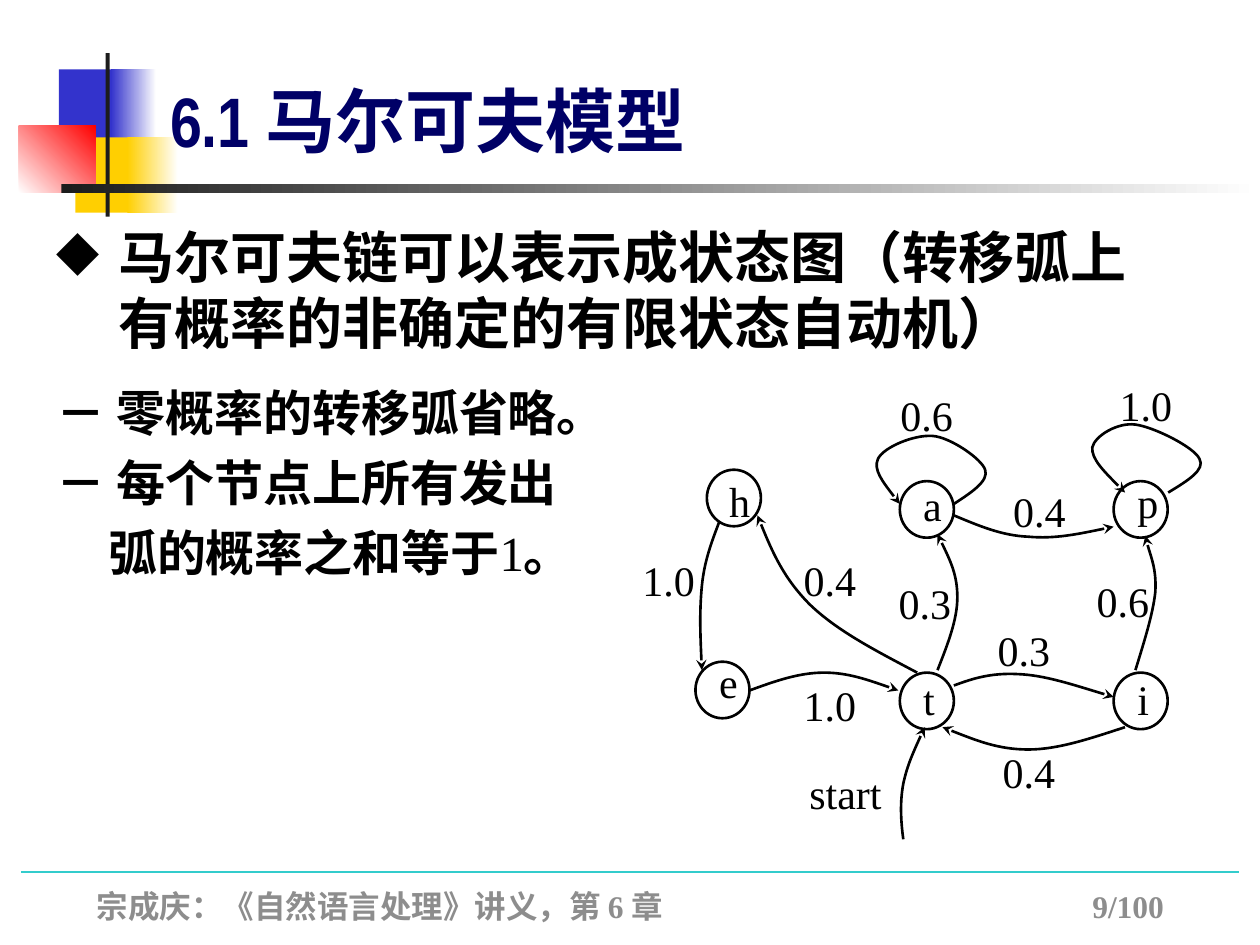
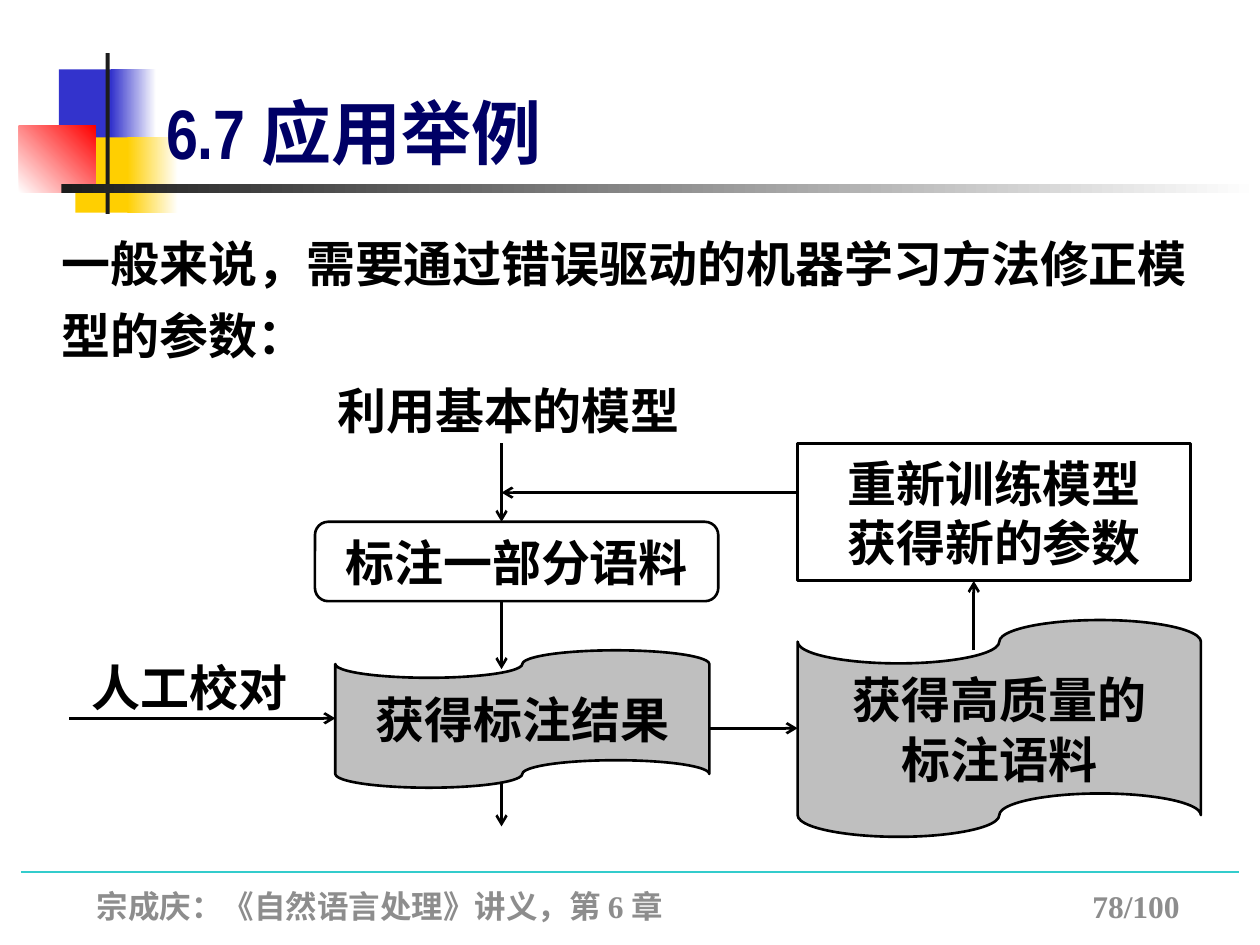
import pptx
import pptx.util
import pptx.dml.color
import pptx.enum.shapes
import pptx.enum.text
import pptx.oxml
import pptx.oxml.ns
import lxml.etree

Cm = pptx.util.Cm
Pt = pptx.util.Pt
qn = pptx.oxml.ns.qn
rgb = pptx.dml.color.RGBColor.from_string
MSO = pptx.enum.shapes.MSO_SHAPE
ALIGN = pptx.enum.text.PP_ALIGN
ANCHOR = pptx.enum.text.MSO_ANCHOR

SANS, SERIF, NARROW = "Noto Sans CJK SC", "Times New Roman", "Arial Narrow"
BLACK, WHITE, NAVY, GREY = "000000", "FFFFFF", "000066", "8D8D8D"
BLUE, YELLOW, RED, DARK, TEAL, TAPE = "3333CC", "FFCF01", "FF0000", "1C1C1C", "33CCCC", "BFBFBF"


def add_shape(s, kind, box, fill=None, line=None):
    sp = s.shapes.add_shape(kind, *[Cm(v) for v in box])
    sp.shadow.inherit = False
    if fill:
        sp.fill.solid()
        sp.fill.fore_color.rgb = rgb(fill)
    else:
        sp.fill.background()
    if line:
        sp.line.color.rgb = rgb(line)
        sp.line.width = Pt(1.5)
    else:
        sp.line.fill.background()
    return sp


def write(s, target, paras, size, color=BLACK, align=ALIGN.LEFT, anchor=ANCHOR.TOP, wrap=True):
    sp = s.shapes.add_textbox(*[Cm(v) for v in target]) if isinstance(target, tuple) else target
    tf = sp.text_frame
    tf.word_wrap = wrap
    tf.vertical_anchor = anchor
    for i, runs in enumerate(paras):
        p = tf.paragraphs[0] if i == 0 else tf.add_paragraph()
        p.alignment = align
        p.line_spacing = Pt(round(size * 1.2))
        for text, font, bold in runs:
            r = p.add_run()
            r.text = text
            r.font.size = Pt(size)
            r.font.bold = bold
            r.font.color.rgb = rgb(color)
            r.font.name = font
            lxml.etree.SubElement(r._r.get_or_add_rPr(), qn("a:ea")).set("typeface", SANS)
    return tf


prs = pptx.Presentation()
prs.slide_width, prs.slide_height = Cm(25.4), Cm(19.05)

decor = [
    ((1.19, 1.4, 1.22, 1.52), BLUE, None, 0),
    ((2.24, 1.4, 0.91, 1.52), BLUE, WHITE, 0),
    ((1.52, 2.77, 1.17, 1.52), YELLOW, None, 0),
    ((2.57, 2.77, 1.02, 1.52), YELLOW, WHITE, 0),
    ((0.38, 2.54, 1.55, 1.35), WHITE, RED, 45),
    ((2.13, 1.07, 0.08, 3.38), DARK, None, 0),
    ((1.24, 3.71, 24.16, 0.18), DARK, WHITE, 0),
]
titles = [
    ("6.1 ", "马尔可夫模型", (3.18, 1.27, 13.92, 2.11), "9/100"),
    ("6.7 ", "应用举例", (3.1, 1.52, 14.94, 2.11), "78/100"),
]
lines = []
for number, name, box, page in titles:
    s = prs.slides.add_slide(prs.slide_layouts[6])
    c = s.shapes.add_connector(1, Cm(0.43), Cm(17.58), Cm(24.97), Cm(17.58))
    lines.append((c, TEAL, 0.75, None))
    for place, start, end, angle in decor:
        sp = add_shape(s, MSO.RECTANGLE, place, start)
        if end:
            sp.fill.gradient()
            sp.fill.gradient_angle = angle
            for stop, color in zip(sp.fill.gradient_stops, (start, end)):
                stop.color.rgb = rgb(color)
    footer = "宗成庆：《自然语言处理》讲义，第 6 章\t" + page
    tf = write(s, (1.7, 17.75, 23.27, 1.02), [[(footer, SERIF, True)]], 18, GREY)
    tabs = lxml.etree.SubElement(tf.paragraphs[0]._p.get_or_add_pPr(), qn("a:tabLst"))
    tab = lxml.etree.SubElement(tabs, qn("a:tab"))
    tab.set("pos", str(Cm(20.07)))
    tab.set("algn", "l")
    write(s, box, [[(number, NARROW, True), (name, SANS, True)]], 40, NAVY, anchor=ANCHOR.BOTTOM)

s = prs.slides[0]
sp = add_shape(s, MSO.RECTANGLE, (0.89, 4.37, 22.81, 7.67), WHITE)
tf = write(s, sp, [
    [("马尔可夫链可以表示成状态图（转移弧上有概率的非确定的有限状态自动机）", SANS, True)],
    [("－ 零概率的转移弧省略。", SERIF, True)],
    [("－ 每个节点上所有发出", SERIF, True)],
    [("弧的概率之和等于", SERIF, True), ("1", SERIF, False), ("。", SERIF, True)],
], 28)
p = tf.paragraphs[0]
p.line_spacing = Pt(38)
p.runs[0].font.size = Pt(32)
pPr = p._p.get_or_add_pPr()
pPr.set("marL", str(Cm(1.24)))
pPr.set("indent", str(Cm(-1.24)))
lxml.etree.SubElement(pPr, qn("a:buChar")).set("char", "◆")
for p, gap in zip(tf.paragraphs[1:], (15, 6, 6)):
    p.space_before = Pt(gap)
tf.paragraphs[3]._p.get_or_add_pPr().set("marL", str(Cm(1.04)))

nodes = [
    ("h", 14.25, 9.47, 14.45, 9.45),
    ("e", 14.02, 13.34, 14.25, 13.11),
    ("i", 22.45, 13.56, 22.68, 13.44),
    ("t", 18.14, 13.56, 18.36, 13.44),
    ("a", 18.14, 9.7, 18.36, 9.53),
    ("p", 22.45, 9.7, 22.68, 9.47),
]
for state, x, y, text_x, text_y in nodes:
    add_shape(s, MSO.OVAL, (x, y, 1.09, 1.14), None, BLACK)
    write(s, (text_x, text_y, 0.66, 1.27), [[(state, SERIF, False)]], 24, align=ALIGN.CENTER)

arcs = [
    ("0.6", (21.77, 11.48, 1.73),
     [(22.89, 13.51), (23.06, 12.95), (23.24, 12.4), (23.29, 11.94),
      (23.32, 11.48), (23.11, 10.97), (23.09, 10.8)]),
    ("1.0", (12.5, 11.05, 1.96),
     [(14.5, 10.52), (14.35, 10.92), (14.2, 11.3), (14.15, 11.81),
      (14.1, 12.32), (14.12, 12.9), (14.15, 13.51)]),
    ("1.0", (15.75, 13.56, 1.96),
     [(15.11, 13.92), (15.6, 13.74), (16.1, 13.56), (16.61, 13.56),
      (17.09, 13.56), (17.6, 13.74), (18.11, 13.92)]),
    ("0.4", (15.75, 11.05, 1.96),
     [(18.49, 13.56), (17.68, 13.13), (16.89, 12.73), (16.33, 12.19),
      (15.8, 11.66), (15.52, 11.02), (15.27, 10.39)]),
    ("0.3", (17.78, 11.51, 1.73),
     [(18.9, 13.51), (19.1, 13), (19.3, 12.5), (19.3, 12.04),
      (19.3, 11.58), (19.1, 11.18), (18.9, 10.77)]),
    ("0.6", (17.7, 7.72, 1.96),
     [(19.23, 10.16), (19.58, 9.93), (19.94, 9.7), (19.86, 9.47),
      (19.79, 9.25), (19.15, 8.81), (18.8, 8.79),
      (18.42, 8.76), (17.81, 9.02), (17.7, 9.25),
      (17.6, 9.47), (17.86, 9.8), (18.14, 10.16)]),
    ("0.4", (20.09, 9.65, 1.73),
     [(19.23, 10.39), (19.71, 10.59), (20.19, 10.8), (20.73, 10.82),
      (21.26, 10.87), (21.87, 10.74), (22.45, 10.62)]),
    ("1.0", (22.02, 7.52, 2.16),
     [(23.55, 9.93), (23.93, 9.7), (24.31, 9.47), (24.18, 9.25),
      (24.08, 9.02), (23.27, 8.61), (22.89, 8.56),
      (22.53, 8.51), (22.07, 8.79), (22.02, 9.02),
      (22, 9.25), (22.33, 9.58), (22.68, 9.93)]),
    ("0.3", (19.66, 12.45, 1.96),
     [(19.23, 13.82), (19.58, 13.69), (19.96, 13.56), (20.52, 13.59),
      (21.06, 13.61), (21.74, 13.84), (22.45, 14.05)]),
    ("0.4", (19.66, 14.91, 2.16),
     [(22.68, 14.66), (22, 14.88), (21.34, 15.11), (20.73, 15.11),
      (20.12, 15.11), (19.56, 14.88), (19, 14.66)]),
    ("start", (15.75, 15.34, 2.59),
     [(18.21, 16.92), (18.16, 16.54), (18.14, 16.18), (18.21, 15.8),
      (18.29, 15.42), (18.47, 15.04), (18.64, 14.66)]),
]
for label, place, points in arcs:
    pts = [(Cm(x), Cm(y)) for x, y in points]
    fb = s.shapes.build_freeform(*pts[0])
    fb.add_line_segments(pts[1:], close=False)
    sp = fb.convert_to_shape()
    sp.fill.background()
    geom = sp._element.find(".//" + qn("a:path"))
    segments = geom.findall(qn("a:lnTo"))
    for i in range(0, len(segments), 3):
        curve = lxml.etree.SubElement(geom, qn("a:cubicBezTo"))
        for segment in segments[i:i + 3]:
            curve.append(segment[0])
            geom.remove(segment)
    lines.append((sp, BLACK, 1.5, "stealth"))
    write(s, (*place, 1.27), [[(label, SERIF, False)]], 24, align=ALIGN.CENTER)

s = prs.slides[1]
sp = add_shape(s, MSO.RECTANGLE, (0.99, 4.32, 23.62, 3.12), WHITE)
intro = "一般来说，需要通过错误驱动的机器学习方法修正模型的参数："
tf = write(s, sp, [[(intro, SERIF, True)]], 28)
tf.paragraphs[0].line_spacing = Pt(41)

for label, box in [("利用基本的模型", (6.55, 7.54, 8.33, 1.45)), ("人工校对", (1.6, 13.11, 5.16, 1.45))]:
    write(s, box, [[(label, SANS, True)]], 28)

steps = [
    (MSO.ROUNDED_RECTANGLE, (6.35, 10.52, 8.13, 1.6), None, ["标注一部分语料"]),
    (MSO.FLOWCHART_PUNCHED_TAPE, (6.76, 13.11, 7.54, 2.77), TAPE, ["获得标注结果"]),
    (MSO.FLOWCHART_PUNCHED_TAPE, (16.08, 12.5, 8.13, 4.37), TAPE, ["获得高质量的", "标注语料"]),
    (MSO.RECTANGLE, (16.08, 8.94, 7.92, 2.77), None, ["重新训练模型", "获得新的参数"]),
]
for kind, box, fill, texts in steps:
    sp = add_shape(s, kind, box, fill, BLACK)
    write(s, sp, [[(text, SANS, True)] for text in texts], 28,
          align=ALIGN.CENTER, anchor=ANCHOR.MIDDLE, wrap=False)

flows = [
    (10.11, 8.94, 10.11, 10.52),
    (10.11, 12.12, 10.11, 13.49),
    (10.11, 15.77, 10.11, 16.66),
    (1.4, 14.48, 6.76, 14.48),
    (14.3, 14.68, 16.08, 14.68),
    (19.63, 13.11, 19.63, 11.71),
    (16.08, 9.93, 10.11, 9.93),
]
for ends in flows:
    c = s.shapes.add_connector(1, *[Cm(v) for v in ends])
    lines.append((c, BLACK, 1.5, "arrow"))

for sp, color, width, head in lines:
    sp.line.color.rgb = rgb(color)
    sp.line.width = Pt(width)
    spPr = sp._element.spPr
    if head:
        lxml.etree.SubElement(spPr.find(qn("a:ln")), qn("a:tailEnd")).set("type", head)
    lxml.etree.SubElement(spPr, qn("a:effectLst"))

prs.save("out.pptx")
